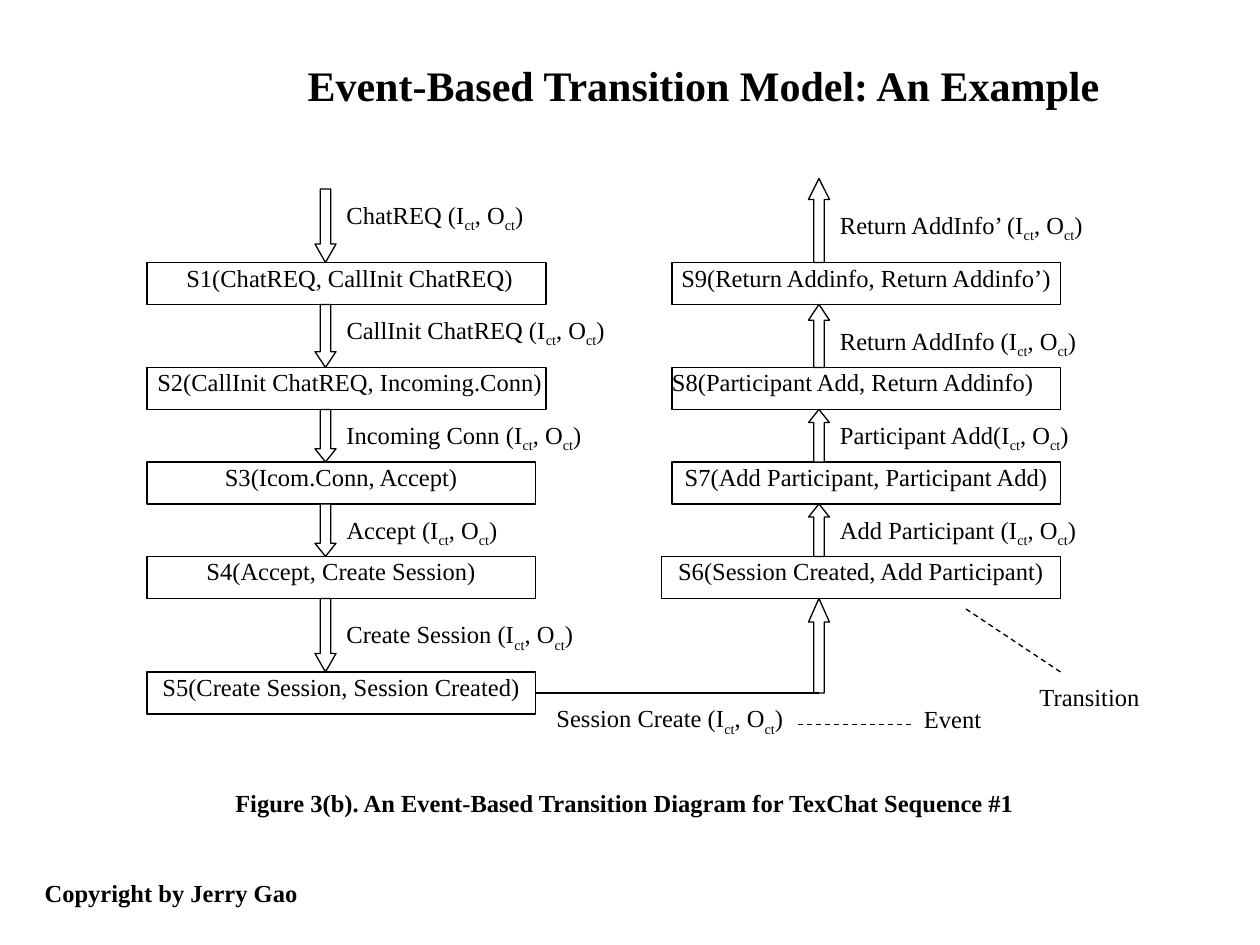
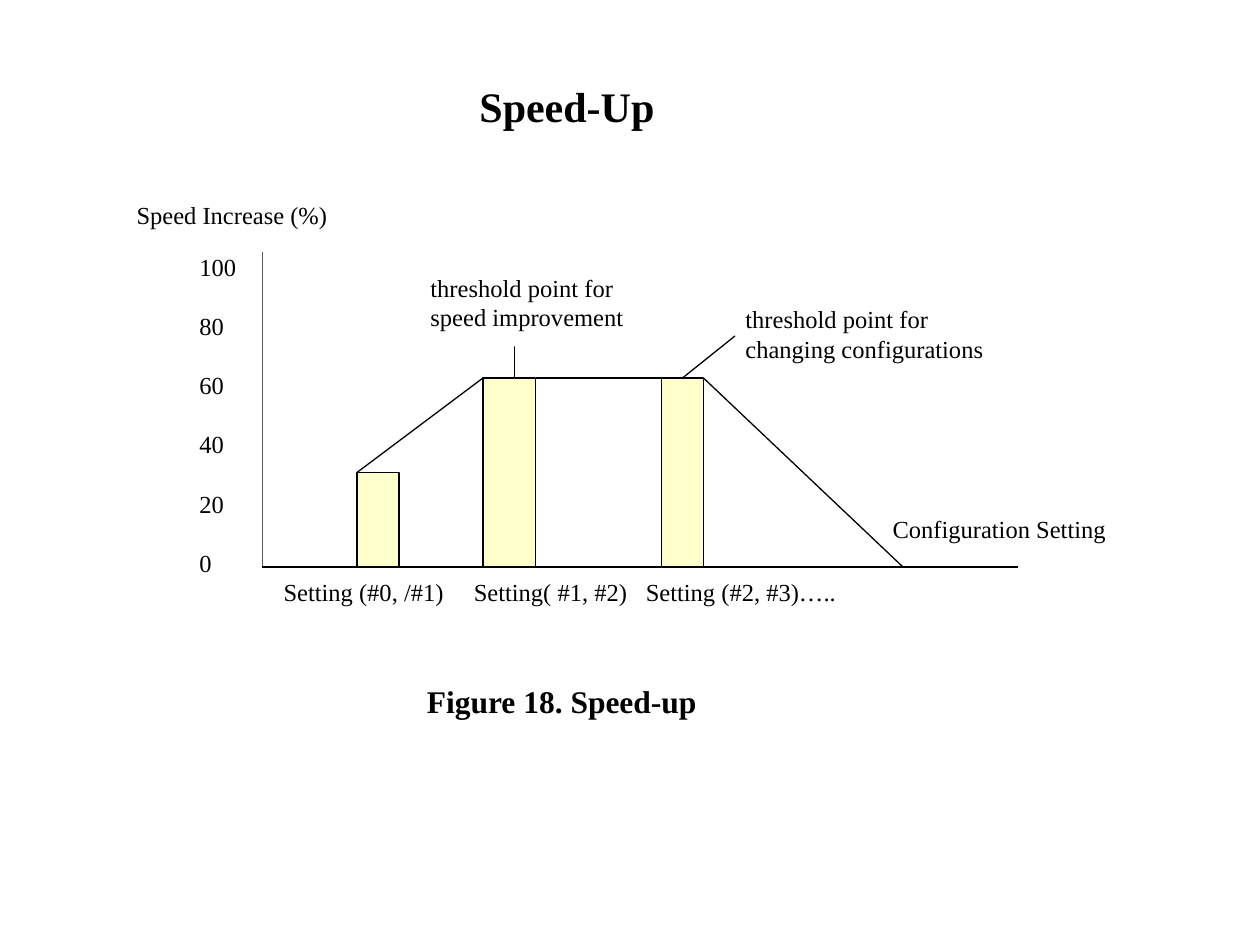
from dataclasses import dataclass
from itertools import pairwise
from typing import NamedTuple

from lxml import etree
from pptx import Presentation
from pptx.dml.color import RGBColor
from pptx.enum.dml import MSO_LINE
from pptx.enum.shapes import MSO_CONNECTOR, MSO_SHAPE
from pptx.enum.text import MSO_ANCHOR, MSO_AUTO_SIZE, PP_ALIGN
from pptx.oxml.ns import qn
from pptx.util import Emu, Pt

LEFT, CENTER = PP_ALIGN.LEFT, PP_ALIGN.CENTER


@dataclass(frozen=True)
class Theme:
    font: str = "Times New Roman"
    ink: RGBColor = RGBColor(0x00, 0x00, 0x00)
    paper: RGBColor = RGBColor(0xFF, 0xFF, 0xFF)
    bar: RGBColor = RGBColor(0xFF, 0xFF, 0xCC)
    title_size: int = 24
    figure_size: int = 18
    body_size: int = 14
    line_width: float = 0.75


THEME = Theme()


class Box(NamedTuple):
    x: int
    y: int
    w: int
    h: int


class State(NamedTuple):
    text: str
    box: Box
    align: PP_ALIGN = CENTER
    inset: int = 0


class Event(NamedTuple):
    name: str
    box: Box


STATE_H = 32
ARROW_W = 16
DOWN_X, UP_X = 248, 624

DOWN_STATES = [
    State("S1(ChatREQ, CallInit ChatREQ)", Box(112, 200, 304, STATE_H), inset=5),
    State("S2(CallInit ChatREQ, Incoming.Conn)", Box(112, 280, 304, STATE_H), inset=5),
    State("S3(Icom.Conn, Accept)", Box(112, 352, 296, STATE_H)),
    State("S4(Accept, Create Session)", Box(112, 424, 296, STATE_H)),
    State("S5(Create Session, Session Created)", Box(112, 512, 296, STATE_H)),
]
UP_STATES = [
    State("S6(Session Created, Add Participant)", Box(504, 424, 304, STATE_H)),
    State("S7(Add Participant, Participant Add)", Box(512, 352, 296, STATE_H)),
    State("S8(Participant Add, Return Addinfo)", Box(512, 280, 296, STATE_H), LEFT),
    State("S9(Return Addinfo, Return Addinfo’)", Box(512, 200, 296, STATE_H)),
]
EVENTS = [
    Event("ChatREQ ", Box(264, 152, 144, 24)),
    Event("CallInit ChatREQ ", Box(264, 240, 208, 24)),
    Event("Incoming Conn ", Box(264, 320, 192, 24)),
    Event("Accept ", Box(264, 392, 128, 24)),
    Event("Create Session ", Box(264, 472, 192, 24)),
    Event("Session Create ", Box(424, 536, 176, 31)),
    Event("Add Participant ", Box(640, 392, 184, 24)),
    Event("Participant Add", Box(640, 320, 192, 24)),
    Event("Return AddInfo ", Box(640, 248, 200, 16)),
    Event("Return AddInfo’ ", Box(640, 160, 200, 24)),
]

BASELINE = 432
BARS = [Box(272, 360, 32, 72), Box(368, 288, 40, 144), Box(504, 288, 32, 144)]


def px(length: int) -> Emu:
    return Emu(length * 9525)


def place(box: Box) -> list[Emu]:
    return [px(length) for length in box]


def style(paragraph, size: int, bold: bool = False, align: PP_ALIGN = LEFT) -> None:
    paragraph.alignment = align
    font = paragraph.font
    font.name, font.size, font.bold = THEME.font, Pt(size), bold
    font.color.rgb = THEME.ink


def set_frame(frame, inset: int = 0) -> None:
    """Start text at the top edge, with only a left inset."""
    frame.word_wrap = True
    frame.auto_size = MSO_AUTO_SIZE.NONE
    frame.vertical_anchor = MSO_ANCHOR.TOP
    frame.margin_left = px(inset)
    frame.margin_top = frame.margin_right = frame.margin_bottom = 0


def add_outlined(slide, kind: MSO_SHAPE, box: Box, fill: RGBColor = THEME.paper):
    shape = slide.shapes.add_shape(kind, *place(box))
    shape.shadow.inherit = False
    shape.fill.solid()
    shape.fill.fore_color.rgb = fill
    shape.line.color.rgb = THEME.ink
    shape.line.width = Pt(THEME.line_width)
    return shape


def add_caption(slide, text: str, box: Box, size: int = THEME.body_size,
                bold: bool = False, align: PP_ALIGN = LEFT):
    caption = slide.shapes.add_textbox(*place(box))
    caption.fill.solid()
    caption.fill.fore_color.rgb = THEME.paper
    set_frame(caption.text_frame)
    paragraph = caption.text_frame.paragraphs[0]
    paragraph.text = text
    style(paragraph, size, bold, align)
    return caption


def add_line(slide, start: tuple[int, int], end: tuple[int, int], dashed: bool = False):
    line = slide.shapes.add_connector(
        MSO_CONNECTOR.STRAIGHT, *(px(length) for length in (*start, *end)))
    line.line.color.rgb = THEME.ink
    line.line.width = Pt(THEME.line_width)
    if dashed:
        line.line.dash_style = MSO_LINE.DASH
    etree.SubElement(line._element.spPr, qn("a:effectLst"))
    return line


def add_titled_slide(deck, title: str, box: Box):
    slide = deck.slides.add_slide(deck.slide_layouts[5])
    heading = slide.shapes.title
    heading.left, heading.top, heading.width, heading.height = place(box)
    set_frame(heading.text_frame)
    heading.text_frame.margin_top = px(5)
    heading.text_frame.text = title
    style(heading.text_frame.paragraphs[0], THEME.title_size, True, CENTER)
    return slide


def add_state(slide, state: State):
    shape = add_outlined(slide, MSO_SHAPE.RECTANGLE, state.box)
    set_frame(shape.text_frame, state.inset)
    paragraph = shape.text_frame.paragraphs[0]
    paragraph.text = state.text
    style(paragraph, THEME.body_size, align=state.align)
    return shape


def add_event(slide, event: Event) -> None:
    """Write the event name with its subscripted input and output."""
    paragraph = add_caption(slide, event.name + "(I", event.box).text_frame.paragraphs[0]
    for text, subscript in (("ct", True), (", O", False), ("ct", True), (")", False)):
        run = paragraph.add_run()
        run.text = text
        if subscript:
            run._r.get_or_add_rPr().set("baseline", "-25000")


def add_arrow(slide, kind: MSO_SHAPE, x: int, top: int, bottom: int) -> None:
    """Block arrow whose head takes a quarter of its length."""
    height = bottom - top
    arrow = add_outlined(slide, kind, Box(x - ARROW_W // 2, top, ARROW_W, height))
    arrow.adjustments[0] = 0.5
    arrow.adjustments[1] = height / 4 / ARROW_W


def add_tab_stops(paragraph, *stops: int) -> None:
    tabs = etree.SubElement(paragraph._p.get_or_add_pPr(), qn("a:tabLst"))
    for stop in stops:
        etree.SubElement(tabs, qn("a:tab"), pos=str(px(stop)), algn="l")


def build_transition_slide(deck) -> None:
    slide = add_titled_slide(deck, "Event-Based Transition Model: An Example",
                             Box(200, 40, 672, 48))
    down_shapes = [add_state(slide, state) for state in DOWN_STATES]
    for state in UP_STATES:
        add_state(slide, state)

    session_y = DOWN_STATES[-1].box.y + STATE_H // 2
    down_tops = [144 - STATE_H] + [state.box.y for state in DOWN_STATES]
    up_tops = [session_y] + [state.box.y for state in UP_STATES] + [136 - STATE_H]
    for upper, lower in pairwise(down_tops):
        add_arrow(slide, MSO_SHAPE.DOWN_ARROW, DOWN_X, upper + STATE_H, lower)
    for lower, upper in pairwise(up_tops):
        add_arrow(slide, MSO_SHAPE.UP_ARROW, UP_X, upper + STATE_H, lower)
    session_line = add_line(slide, (408, session_y), (UP_X, session_y))
    session_line.begin_connect(down_shapes[-1], 3)

    for event in EVENTS:
        add_event(slide, event)
    add_line(slide, (736, 464), (808, 512), dashed=True)
    add_line(slide, (608, 552), (696, 552), dashed=True)
    add_caption(slide, "Event", Box(704, 536, 56, 24))
    add_caption(slide, "Transition", Box(792, 520, 88, 24))
    add_caption(slide, "Figure 3(b). An Event-Based Transition Diagram for TexChat Sequence #1",
                Box(152, 600, 648, 32), bold=True, align=CENTER)
    add_caption(slide, "Copyright by Jerry Gao", Box(34, 669, 236, 24), bold=True)


def add_speed_scale(slide) -> None:
    frame = add_caption(slide, "100", Box(152, 192, 48, 248)).text_frame
    for percent in range(80, -1, -20):
        paragraph = frame.add_paragraph()
        paragraph.text = str(percent)
        paragraph.space_before = Pt(17)
        style(paragraph, THEME.body_size)


def build_speed_up_slide(deck) -> None:
    slide = add_titled_slide(deck, "Speed-Up", Box(256, 56, 352, 48))
    add_line(slide, (200, 192), (200, BASELINE))
    add_speed_scale(slide)
    add_line(slide, (776, BASELINE), (200, BASELINE))
    add_caption(slide, "Speed Increase (%)", Box(104, 152, 168, 32))
    add_caption(slide, "Configuration Setting", Box(680, 392, 176, 31))
    settings = add_caption(slide, "Setting (#0, /#1)\tSetting( #1, #2)\tSetting (#2, #3)…..",
                           Box(216, 440, 448, 30)).text_frame.paragraphs[0]
    # Tab stops must precede the default run properties.
    properties = settings._p.get_or_add_pPr()
    defaults = properties.find(qn("a:defRPr"))
    add_tab_stops(settings, 145, 276)
    properties.append(defaults)

    first, second, third = BARS
    add_line(slide, (second.x, second.y), (first.x, first.y))
    add_line(slide, (second.x + second.w, second.y), (third.x, third.y))
    add_line(slide, (third.x + third.w, third.y), (688, BASELINE))
    add_line(slide, (392, 256), (392, second.y))
    bar_shapes = [add_outlined(slide, MSO_SHAPE.RECTANGLE, bar, THEME.bar) for bar in BARS]
    add_caption(slide, "threshold point for changing configurations", Box(568, 232, 192, 56))
    add_caption(slide, "threshold point for speed improvement", Box(328, 208, 152, 56))
    change_line = add_line(slide, (560, 256), (third.x + third.w // 2, third.y))
    change_line.end_connect(bar_shapes[-1], 0)
    add_caption(slide, "Figure 18. Speed-up", Box(296, 520, 264, 24),
                THEME.figure_size, True, CENTER)


def main() -> None:
    deck = Presentation()
    deck.slide_width, deck.slide_height = px(960), px(720)
    build_transition_slide(deck)
    build_speed_up_slide(deck)
    deck.save("out.pptx")


if __name__ == "__main__":
    main()
